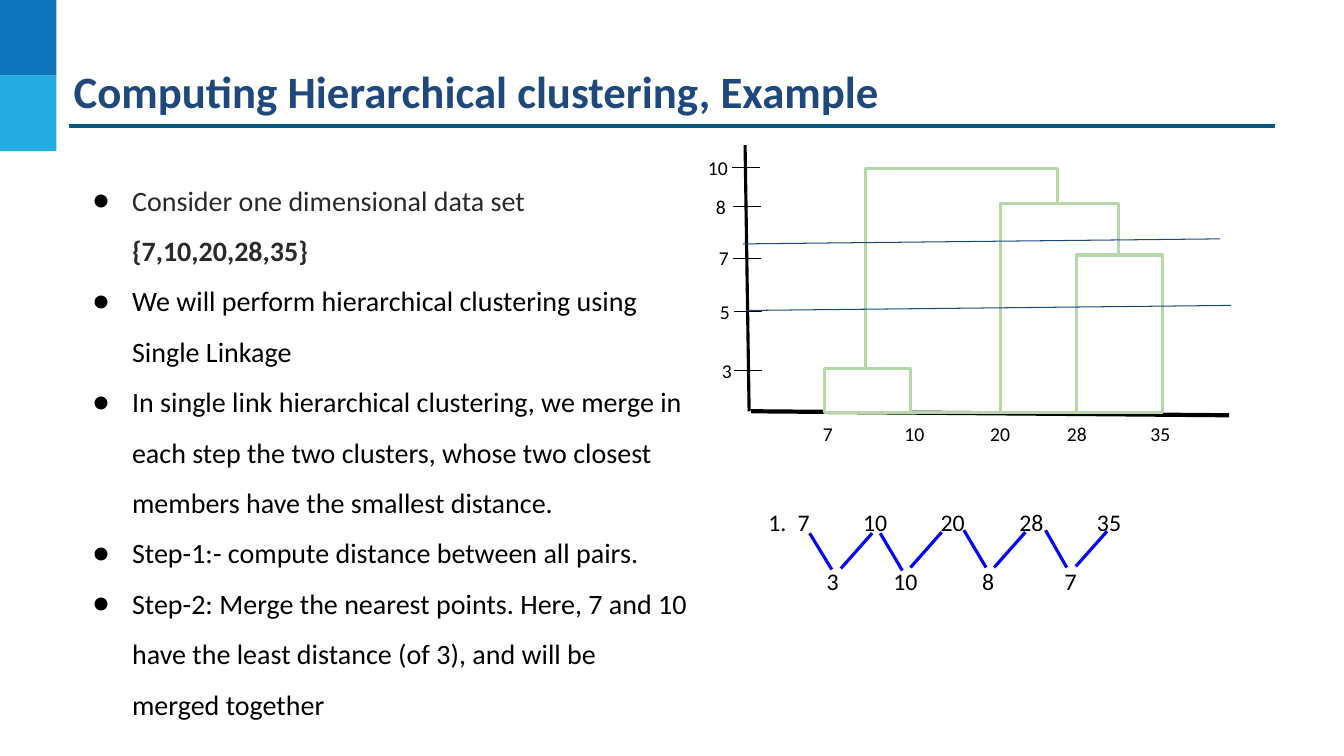
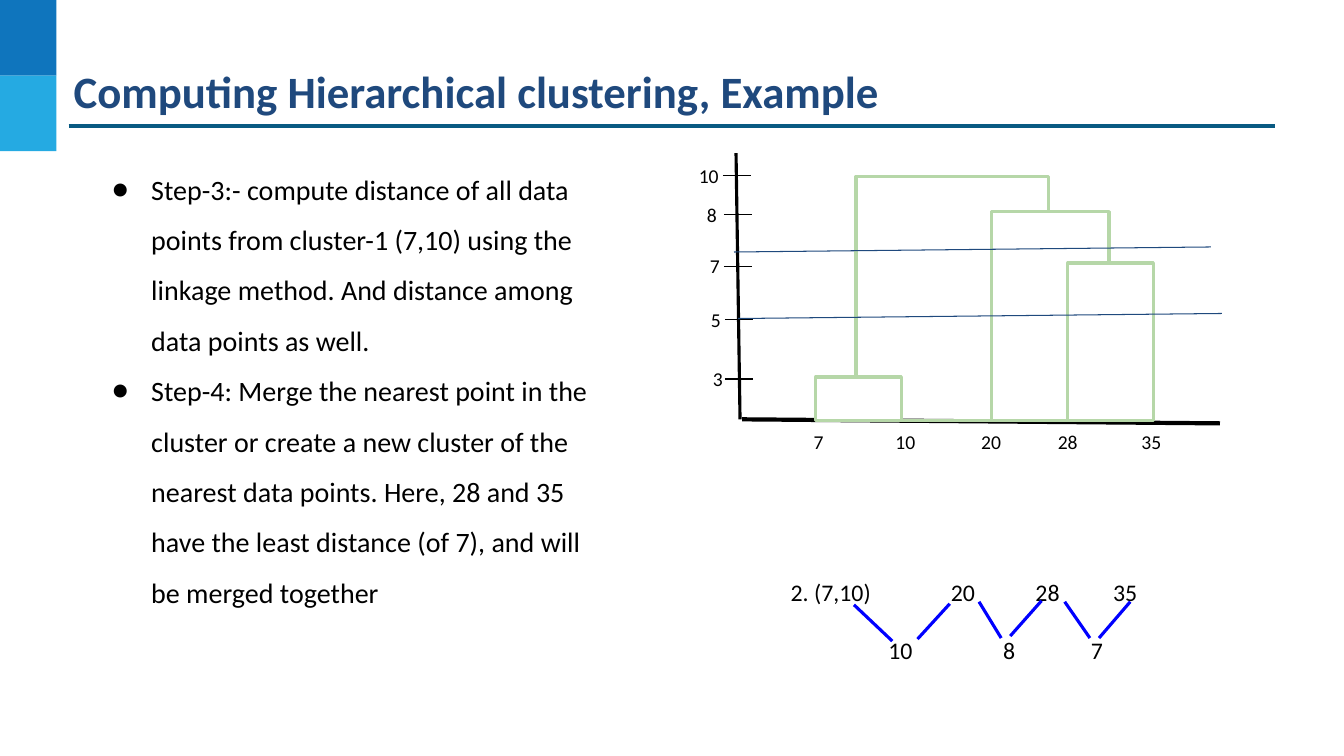
from lxml import etree
from pptx import Presentation
from pptx.dml.color import RGBColor
from pptx.enum.shapes import MSO_CONNECTOR, MSO_SHAPE
from pptx.enum.text import MSO_ANCHOR, MSO_AUTO_SIZE, PP_ALIGN
from pptx.oxml.ns import qn
from pptx.util import Inches, Pt

FONT = "Calibri"
BLACK, NAVY, BLUE, GREEN = "000000", "1F497D", "0000FF", "B6D7A8"
TITLE = "Computing Hierarchical clustering, Example"
color = RGBColor.from_string


def add_line(slide, x1, y1, x2, y2, line_color, width):
    line = slide.shapes.add_connector(
        MSO_CONNECTOR.STRAIGHT, Inches(x1), Inches(y1), Inches(x2), Inches(y2))
    line.line.color.rgb = color(line_color)
    line.line.width = Pt(width)
    etree.SubElement(line.element.spPr, qn("a:effectLst"))
    return line


def add_label(slide, text, center_x, center_y, size):
    box = slide.shapes.add_textbox(
        Inches(center_x - 0.5), Inches(center_y - 0.15), Inches(1), Inches(0.3))
    frame = box.text_frame
    frame.word_wrap = True
    frame.margin_left = frame.margin_right = frame.margin_top = frame.margin_bottom = 0
    frame.vertical_anchor = MSO_ANCHOR.MIDDLE
    paragraph = frame.paragraphs[0]
    paragraph.text = text
    paragraph.alignment = PP_ALIGN.CENTER
    paragraph.font.name = FONT
    paragraph.font.size = Pt(size)
    paragraph.font.color.rgb = color(BLACK)


bands = [(0, "0F75BD"), (0.75, "25AAE2")]
ticks = [("10", 7.12, 7.26, 1.66), ("8", 7.15, 7.27, 2.05), ("7", 7.18, 7.27, 2.56),
         ("5", 7.19, 7.28, 3.09), ("3", 7.21, 7.28, 3.68)]
leaves = [("7", 8.21), ("10", 9.07), ("20", 9.92), ("28", 10.68), ("35", 11.51)]
axes = [(7.39, 1.44, 7.43, 4.08, 2.25), (7.45, 4.08, 12.19, 4.12, 3)]
clusters = [(8.58, 1.67, 1.91), (8.18, 3.66, 0.85), (9.92, 2.02, 1.17), (10.68, 2.53, 0.85)]
cluster_base = 4.09
cuts = [(7.37, 2.42, 12.1, 2.37), (7.41, 3.08, 12.21, 3.03)]

slides = [
    {
        "body": (0.71, 1.55, 6.22, 5.59),
        "bullets": [
            [("Consider one dimensional data set ", False), ("{7,10,20,28,35}", True)],
            [("We will perform hierarchical clustering using Single Linkage", False)],
            [("In single link hierarchical clustering, we merge in each step the two "
              "clusters, whose two closest members have the smallest distance.", False)],
            [("Step-1:- compute distance between all pairs.", False)],
            [("Step-2: Merge the nearest points. Here, 7 and 10 have the least distance "
              "(of 3), and will be merged together", False)],
        ],
        "first_color": "292929",
        "shift": (0, 0),
        "points_y": 5.18,
        "points": [("1.", 7.71), ("7", 7.97), ("10", 8.68), ("20", 9.45),
                   ("28", 10.23), ("35", 11)],
        "distances": [("3", 8.26), ("10", 8.98), ("8", 9.8), ("7", 10.62)],
        "links": [(8.25, 5.65, 8.03, 5.29), (8.34, 5.64, 8.65, 5.29),
                  (8.95, 5.66, 8.73, 5.29), (9.03, 5.63, 9.34, 5.28),
                  (9.78, 5.63, 9.56, 5.26), (9.86, 5.63, 10.17, 5.28),
                  (10.58, 5.63, 10.37, 5.26), (10.67, 5.62, 10.98, 5.27)],
    },
    {
        "body": (0.9, 1.44, 5.25, 4.58),
        "bullets": [
            [("Step-3:- compute distance of all data points from cluster-1 (7,10) using "
              "the linkage method. And distance among data points as well.", False)],
            [("Step-4: Merge the nearest point in the cluster or create a new cluster of "
              "the nearest data points. Here, 28 and 35 have the least distance (of 7), "
              "and will be merged together", False)],
        ],
        "first_color": BLACK,
        "shift": (-0.09, 0.08),
        "points_y": 5.87,
        "points": [("2. (7,10)", 8.24), ("20", 9.55), ("28", 10.39), ("35", 11.16)],
        "distances": [("10", 8.93), ("8", 10.01), ("7", 10.88)],
        "links": [(8.85, 6.36, 8.47, 6), (9.1, 6.34, 9.42, 5.99),
                  (9.93, 6.33, 9.71, 5.97), (10.02, 6.31, 10.33, 5.96),
                  (10.81, 6.33, 10.56, 5.97), (10.9, 6.33, 11.21, 5.97)],
    },
]

presentation = Presentation()
presentation.slide_width = Inches(13.33)
presentation.slide_height = Inches(7.5)
layout = presentation.slide_layouts[1]
layout_title = layout.placeholders[0]
layout_title.left, layout_title.top = Inches(0.71), Inches(0.61)
layout_title.width, layout_title.height = Inches(12.29), Inches(0.83)

for number, content in enumerate(slides):
    slide = presentation.slides.add_slide(layout)

    if number == 0:
        decorations = []
        for top, fill in bands:
            band = slide.shapes.add_shape(
                MSO_SHAPE.RECTANGLE, 0, Inches(top), Inches(0.56), Inches(0.75))
            band.shadow.inherit = False
            band.fill.solid()
            band.fill.fore_color.rgb = color(fill)
            band.line.fill.background()
            decorations.append(band)
        decorations.append(add_line(slide, 0.68, 1.25, 12.65, 1.25, "095A82", 2.25))
        for position, decoration in enumerate(decorations, start=2):
            layout.shapes.element.insert(position, decoration.element)

    frame = slide.shapes.title.text_frame
    frame.margin_left = frame.margin_right = Inches(0.02)
    frame.margin_top = frame.margin_bottom = Inches(0.02)
    frame.vertical_anchor = MSO_ANCHOR.TOP
    frame.auto_size = MSO_AUTO_SIZE.NONE
    paragraph = frame.paragraphs[0]
    paragraph.text = TITLE
    paragraph.alignment = PP_ALIGN.LEFT
    paragraph.font.name = FONT
    paragraph.font.size = Pt(32)
    paragraph.font.bold = True
    paragraph.font.color.rgb = color(NAVY)

    body = slide.placeholders[1]
    body.left, body.top, body.width, body.height = map(Inches, content["body"])
    frame = body.text_frame
    frame.margin_left = frame.margin_right = Inches(0.1)
    frame.margin_top = frame.margin_bottom = Inches(0.1)
    frame.auto_size = MSO_AUTO_SIZE.NONE
    for index, runs in enumerate(content["bullets"]):
        paragraph = frame.add_paragraph() if index else frame.paragraphs[0]
        properties = paragraph._p.get_or_add_pPr()
        properties.set("marL", str(Inches(0.5)))
        properties.set("indent", str(Inches(-0.39)))
        bullet_color = etree.SubElement(properties, qn("a:buClr"))
        etree.SubElement(bullet_color, qn("a:srgbClr"), val=BLACK)
        etree.SubElement(properties, qn("a:buFont"), typeface=FONT)
        etree.SubElement(properties, qn("a:buChar"), char="●")
        paragraph.line_spacing = 1.5
        paragraph.space_before = Pt(0)
        paragraph.font.name = FONT
        paragraph.font.size = Pt(20)
        paragraph.font.color.rgb = color(BLACK if index else content["first_color"])
        for text, bold in runs:
            run = paragraph.add_run()
            run.text = text
            if bold:
                run.font.bold = True

    for text, x in content["points"]:
        add_label(slide, text, x, content["points_y"], 17)
    for text, x in content["distances"]:
        add_label(slide, text, x, content["points_y"] + 0.58, 17)
    for link in content["links"]:
        add_line(slide, *link, BLUE, 2.25)

    dx, dy = content["shift"]
    for x1, y1, x2, y2, width in axes:
        add_line(slide, x1 + dx, y1 + dy, x2 + dx, y2 + dy, BLACK, width)
    for index, (left, top, width) in enumerate(clusters):
        cluster = slide.shapes.add_shape(
            MSO_SHAPE.RECTANGLE, Inches(left + dx), Inches(top + dy),
            Inches(width), Inches(cluster_base - top))
        cluster.shadow.inherit = False
        if index:
            cluster.fill.solid()
            cluster.fill.fore_color.rgb = color("FFFFFF")
        else:
            cluster.fill.background()
        cluster.line.color.rgb = color(GREEN)
        cluster.line.width = Pt(2.25)
    for text, x in leaves:
        add_label(slide, text, x + dx, 4.3 + dy, 14)
    for text, label_x, tick_x, y in ticks:
        add_line(slide, tick_x + dx, y + dy, tick_x + 0.28 + dx, y + dy, BLACK, 0.75)
        add_label(slide, text, label_x + dx, y + dy, 14)
    for x1, y1, x2, y2 in cuts:
        add_line(slide, x1 + dx, y1 + dy, x2 + dx, y2 + dy, NAVY, 0.75)

presentation.save("out.pptx")
